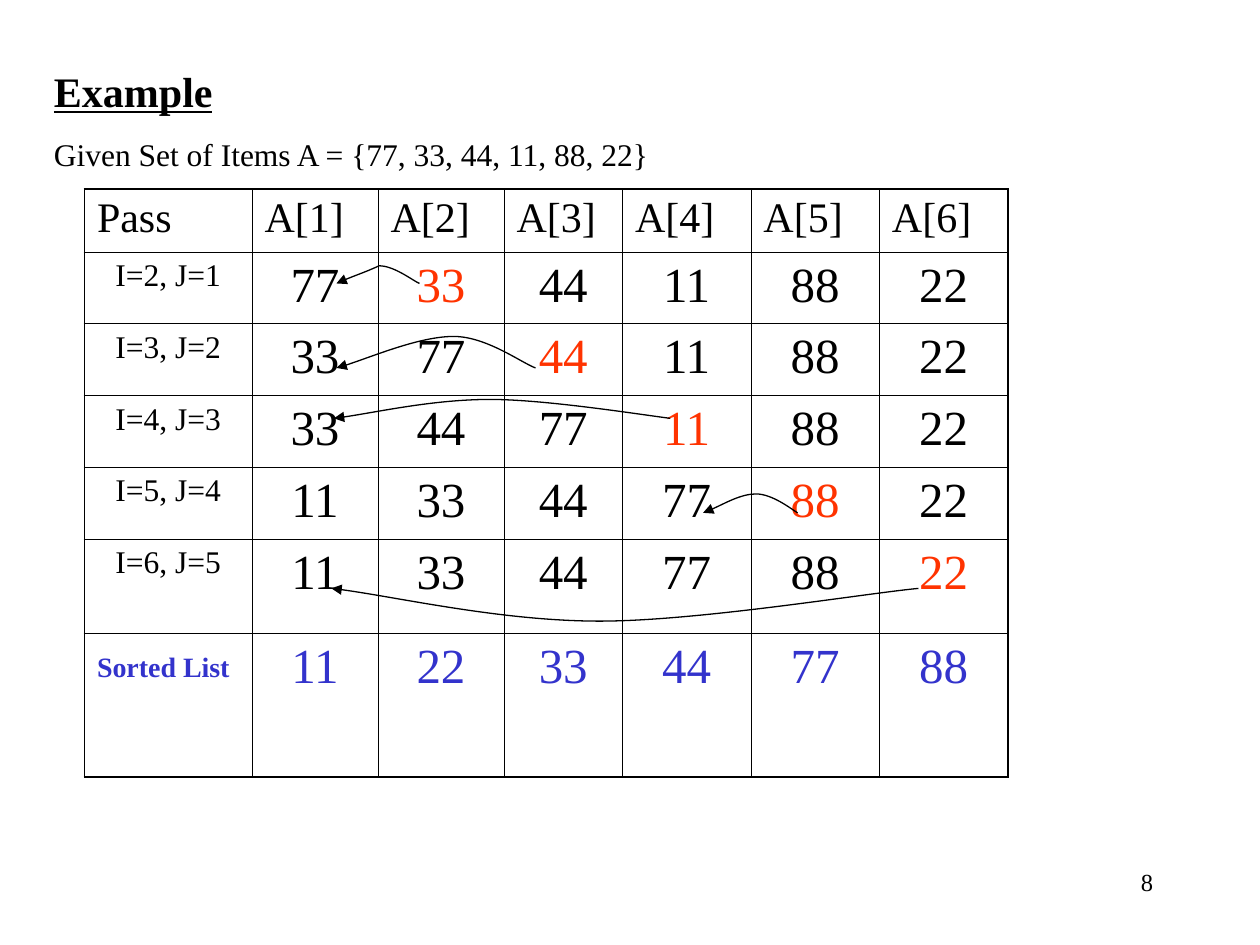
from typing import NamedTuple

from lxml import etree
from pptx import Presentation
from pptx.dml.color import RGBColor
from pptx.enum.text import PP_ALIGN
from pptx.oxml.ns import qn
from pptx.util import Inches, Pt

LEFT, CENTER, RIGHT = PP_ALIGN.LEFT, PP_ALIGN.CENTER, PP_ALIGN.RIGHT
FONT = "Times New Roman"
COLORS = {"black": "000000", "inserted": "FF3300", "sorted": "3333CC"}
THIN, THICK = 0.45, 1.08

COL_WIDTHS = [1.33, 1, 1, 0.94, 1.02, 1.02, 1.02]
ROW_HEIGHTS = [0.5, 0.57, 0.57, 0.57, 0.57, 0.75, 1.14]
ROWS = [
    ["Pass", "A[1]", "A[2]", "A[3]", "A[4]", "A[5]", "A[6]"],
    ["I=2, J=1", "77", "33", "44", "11", "88", "22"],
    ["I=3, J=2", "33", "77", "44", "11", "88", "22"],
    ["I=4, J=3", "33", "44", "77", "11", "88", "22"],
    ["I=5, J=4", "11", "33", "44", "77", "88", "22"],
    ["I=6, J=5", "11", "33", "44", "77", "88", "22"],
    ["Sorted List", "11", "22", "33", "44", "77", "88"],
]
LAST_ROW, LAST_COL = len(ROWS) - 1, len(COL_WIDTHS) - 1


class Style(NamedTuple):
    size: float
    color: str = "black"
    bold: bool = False
    underline: bool = False
    align: PP_ALIGN = LEFT


class Arrow(NamedTuple):
    """A start point, then two control points and an end point per curve."""
    start: tuple
    points: list


ARROWS = [
    Arrow((3.33, 2.25), [(3.28, 2.23), (3.13, 2.11), (3.01, 2.11),
                         (2.9, 2.16), (2.78, 2.2), (2.67, 2.25)]),
    Arrow((4.25, 2.92), [(4.14, 2.88), (3.86, 2.67), (3.6, 2.67),
                         (3.33, 2.67), (2.86, 2.87), (2.67, 2.92)]),
    Arrow((5.32, 3.32), [(5.08, 3.29), (4.33, 3.17), (3.89, 3.17),
                         (3.44, 3.17), (2.91, 3.29), (2.65, 3.32)]),
    Arrow((6.33, 4.07), [(6.28, 4.04), (6.13, 3.92), (6, 3.92),
                         (5.88, 3.92), (5.67, 4.04), (5.58, 4.07)]),
    Arrow((7.29, 4.67), [(6.87, 4.71), (5.54, 4.93), (4.76, 4.93),
                         (3.98, 4.93), (3.07, 4.72), (2.63, 4.67)]),
]


def rgb(name: str) -> RGBColor:
    return RGBColor.from_string(COLORS[name])


def format_paragraph(p, style: Style) -> None:
    p.alignment = style.align
    for r in p.runs:
        r.font.name = FONT
        r.font.size = Pt(style.size)
        r.font.bold = style.bold
        r.font.underline = style.underline
        r.font.color.rgb = rgb(style.color)


def add_text(s, box: tuple, lines: list, styles: list):
    tf = s.shapes.add_textbox(*map(Inches, box)).text_frame
    tf.word_wrap = True
    tf.text = "\n".join(lines)
    for p, style in zip(tf.paragraphs, styles):
        format_paragraph(p, style)
    return tf


def cell_style(row: int, col: int) -> Style:
    if row == 0:
        return Style(24)
    if col == 0:
        return Style(16, "sorted", bold=True) if row == LAST_ROW else Style(18, align=CENTER)
    if row == LAST_ROW:
        color = "sorted"
    else:
        color = "inserted" if col == row + 1 else "black"
    return Style(28, color, align=CENTER)


def set_borders(cell, row: int, col: int) -> None:
    """Draw thick lines on the table's outer edge and thin ones inside."""
    outer = {"L": col == 0, "R": col == LAST_COL, "T": row == 0, "B": row == LAST_ROW}
    tc_pr = cell._tc.get_or_add_tcPr()
    for side, thick in outer.items():
        ln = etree.SubElement(tc_pr, qn(f"a:ln{side}"), w=str(Pt(THICK if thick else THIN)))
        fill = etree.SubElement(ln, qn("a:solidFill"))
        etree.SubElement(fill, qn("a:srgbClr"), val=COLORS["black"])


def add_pass_table(s) -> None:
    table = s.shapes.add_table(
        len(ROWS), len(COL_WIDTHS), Inches(0.67), Inches(1.5),
        Inches(sum(COL_WIDTHS)), Inches(sum(ROW_HEIGHTS))).table
    table.horz_banding = False
    for column, width in zip(table.columns, COL_WIDTHS):
        column.width = Inches(width)
    for i, (row, height) in enumerate(zip(ROWS, ROW_HEIGHTS)):
        table.rows[i].height = Inches(height)
        for j, text in enumerate(row):
            cell = table.cell(i, j)
            cell.text_frame.text = text
            format_paragraph(cell.text_frame.paragraphs[0], cell_style(i, j))
            set_borders(cell, i, j)
            cell.fill.background()
    table.cell(LAST_ROW, 0).margin_top = Inches(0.15)


def add_curved_arrow(s, arrow: Arrow) -> None:
    """Build a freeform and turn each three line steps into one Bezier curve."""
    builder = s.shapes.build_freeform(*map(Inches, arrow.start))
    builder.add_line_segments([(Inches(x), Inches(y)) for x, y in arrow.points], close=False)
    sp = builder.convert_to_shape()
    sp.shadow.inherit = False
    sp.fill.background()
    sp.line.color.rgb = rgb("black")
    sp.line.width = Pt(0.75)
    etree.SubElement(sp.line._get_or_add_ln(), qn("a:tailEnd"), type="triangle")

    outline = next(sp._element.iter(qn("a:path")))
    steps = outline.findall(qn("a:lnTo"))
    for i in range(0, len(steps), 3):
        curve = etree.SubElement(outline, qn("a:cubicBezTo"))
        for step in steps[i:i + 3]:
            curve.append(step[0])
            outline.remove(step)


def main() -> None:
    prs = Presentation()
    prs.slide_width, prs.slide_height = Inches(10), Inches(7.5)
    s = prs.slides.add_slide(prs.slide_layouts[6])

    tf = add_text(s, (0.33, 0.42, 9.33, 0.96),
                  ["Example", "Given Set of Items A = {77, 33, 44, 11, 88, 22}"],
                  [Style(24, bold=True, underline=True), Style(18)])
    tf.margin_top = Inches(0.1)
    tf.paragraphs[1].space_before = Pt(11.2)

    add_pass_table(s)
    for arrow in ARROWS:
        add_curved_arrow(s, arrow)
    add_text(s, (7.17, 6.83, 2.08, 0.5), ["8"], [Style(14, align=RIGHT)])
    prs.save("out.pptx")


if __name__ == "__main__":
    main()
